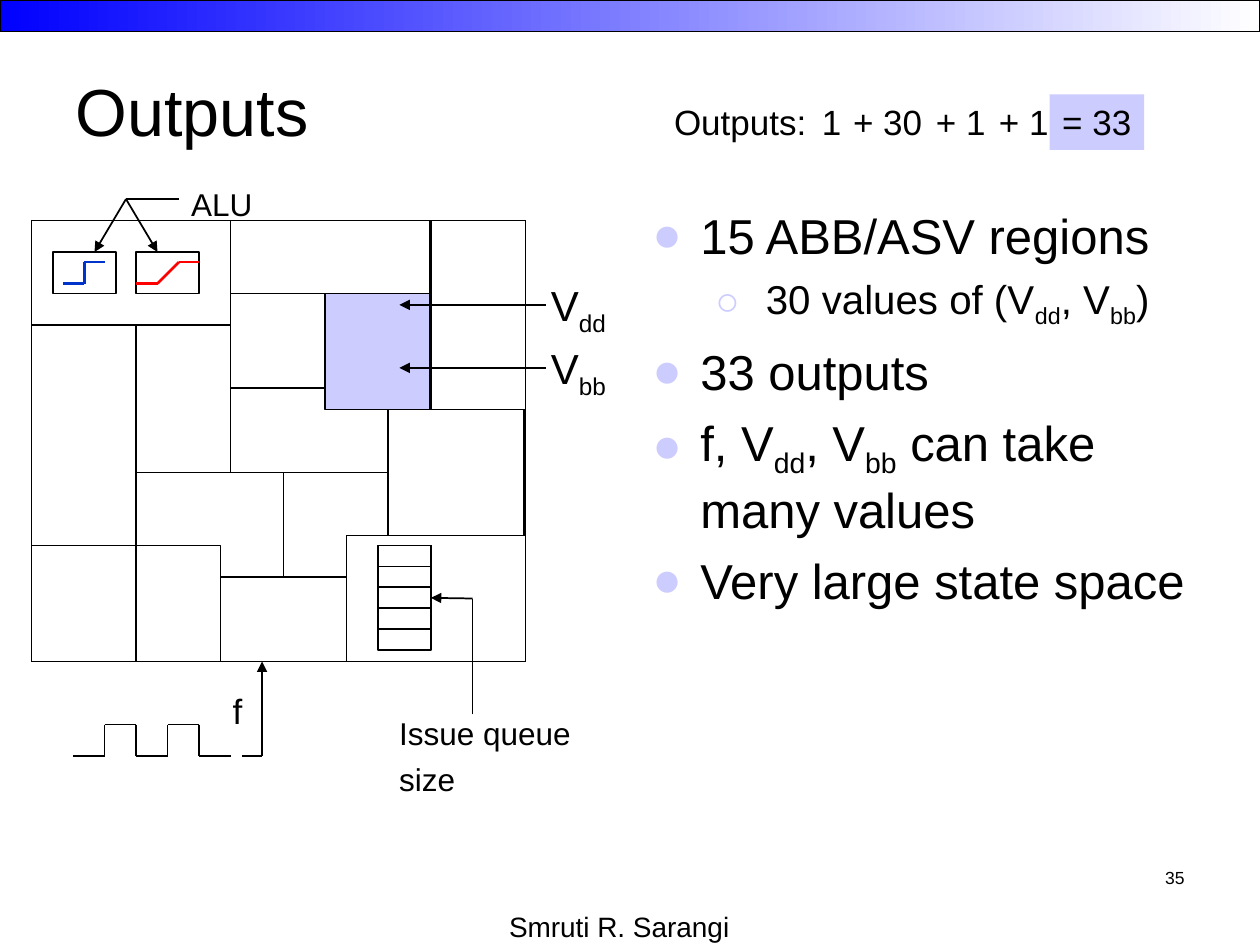
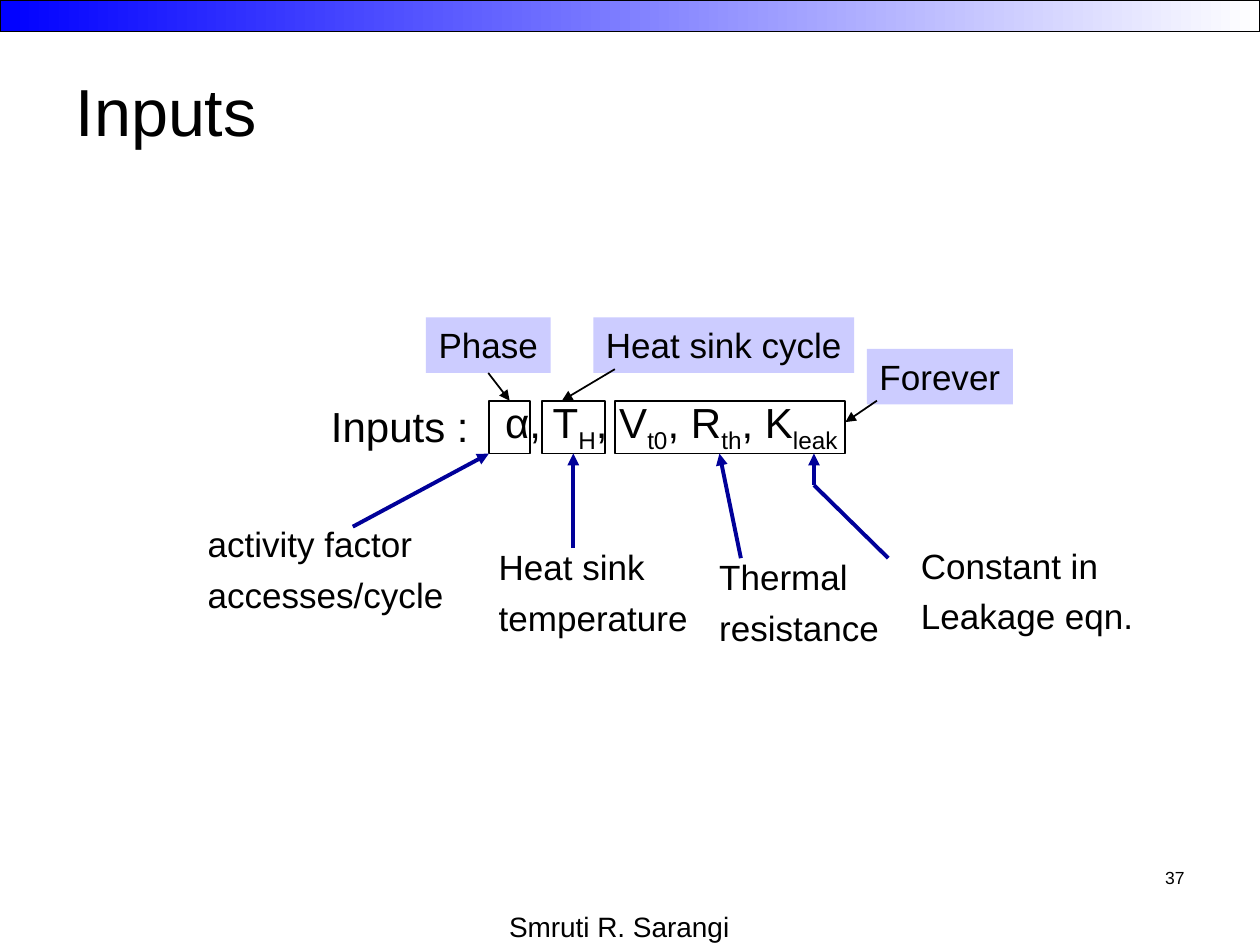
from lxml import etree
from pptx import Presentation
from pptx.dml.color import RGBColor
from pptx.enum.shapes import MSO_CONNECTOR, MSO_SHAPE
from pptx.enum.text import MSO_ANCHOR, MSO_AUTO_SIZE, PP_ALIGN
from pptx.oxml.ns import qn
from pptx.util import Inches, Pt

RECT = MSO_SHAPE.RECTANGLE
STRAIGHT = MSO_CONNECTOR.STRAIGHT
LEFT, MID, RIGHT = PP_ALIGN.LEFT, PP_ALIGN.CENTER, PP_ALIGN.RIGHT
TOP, CENTER = MSO_ANCHOR.TOP, MSO_ANCHOR.MIDDLE
FIXED = MSO_AUTO_SIZE.NONE
ABOVE, BESIDE, BELOW, BEYOND = range(4)

BLACK, WHITE, BLUE = "000000", "FFFFFF", "0000FF"
LILAC, NAVY, STEP, RAMP = "CCCCFF", "000099", "0033CC", "FF0000"
FONT = "Arial"


def rgb(code):
    return RGBColor.from_string(code)


def inches(*sizes):
    return [Inches(size) for size in sizes]


class Deck:
    def __init__(self):
        self.prs = Presentation()
        self.prs.slide_width, self.prs.slide_height = inches(10, 7.5)
        self.slide = None

    def page(self, title, number):
        self.slide = self.prs.slides.add_slide(self.prs.slide_layouts[5])
        band = self.rect(0, 0, 10, 0.25)
        band.fill.gradient()
        band.fill.gradient_angle = 0
        for stop, code, place in zip(band.fill.gradient_stops, (BLUE, WHITE), (0, 1)):
            stop.color.rgb = rgb(code)
            stop.position = place
        self.text((3.33, 7.17, 3.17, 0.33), ["Smruti R. Sarangi"], 16, MID, wrap=True)
        self.text((7.17, 6.83, 2.33, 0.5), [number], 10, RIGHT, wrap=True)
        head = self.slide.shapes.title
        head.left, head.top, head.width, head.height = inches(0.5, 0.25, 9, 1.25)
        frame = head.text_frame
        frame.auto_size = FIXED
        frame.vertical_anchor = CENTER
        frame.paragraphs[0].alignment = LEFT
        self.runs(frame.paragraphs[0], title, 38)

    def runs(self, para, parts, size):
        parts = [parts] if isinstance(parts, str) else parts
        for index, part in enumerate(parts):
            run = para.add_run()
            run.text = part
            run.font.size = Pt(size)
            run.font.name = FONT
            run.font.color.rgb = rgb(BLACK)
            if index % 2:
                run._r.get_or_add_rPr().set("baseline", "-25000")

    def frame(self, box, wrap):
        shape = self.slide.shapes.add_textbox(*inches(*box))
        frame = shape.text_frame
        frame.word_wrap = wrap
        frame.auto_size = FIXED
        frame.vertical_anchor = TOP
        return shape, frame

    def para(self, frame, index, size):
        if index == 0:
            return frame.paragraphs[0]
        para = frame.add_paragraph()
        para.space_before = Pt(size / 4)
        return para

    def text(self, box, lines, size=20, align=MID, fill=None, wrap=False):
        shape, frame = self.frame(box, wrap)
        if fill:
            shape.fill.solid()
            shape.fill.fore_color.rgb = rgb(fill)
        for index, line in enumerate(lines):
            para = self.para(frame, index, size)
            para.alignment = align
            self.runs(para, line, size)
        return shape

    def list(self, box, items):
        styles = ((28, "●", 0.38, 0.38), (23, "○", 0.9, 0.4))
        frame = self.frame(box, True)[1]
        for index, (level, parts) in enumerate(items):
            size, mark, margin, hang = styles[level]
            para = self.para(frame, index, size)
            para.level = level
            props = para._p.get_or_add_pPr()
            props.set("marL", str(Inches(margin)))
            props.set("indent", str(-Inches(hang)))
            tint = etree.SubElement(props, qn("a:buClr"))
            etree.SubElement(tint, qn("a:srgbClr")).set("val", LILAC)
            etree.SubElement(props, qn("a:buFont")).set("typeface", FONT)
            etree.SubElement(props, qn("a:buChar")).set("char", mark)
            self.runs(para, parts, size)

    def rect(self, x, y, w, h, fill=None):
        shape = self.slide.shapes.add_shape(RECT, *inches(x, y, w, h))
        shape.shadow.inherit = False
        if fill:
            shape.fill.solid()
            shape.fill.fore_color.rgb = rgb(fill)
        else:
            shape.fill.background()
        shape.line.color.rgb = rgb(BLACK)
        shape.line.width = Pt(1)
        return shape

    def trace(self, points, color=BLACK, width=1, head=False, start=None, end=None):
        for a, b in zip(points, points[1:]):
            line = self.slide.shapes.add_connector(STRAIGHT, *inches(*a, *b))
            line.line.color.rgb = rgb(color)
            line.line.width = Pt(width)
            props = line._element.spPr
            etree.SubElement(props, qn("a:effectLst"))
            if start and a == points[0]:
                line.begin_connect(*start)
            if b == points[-1]:
                if head:
                    tip = etree.SubElement(props.find(qn("a:ln")), qn("a:tailEnd"))
                    tip.set("type", "triangle")
                if end:
                    line.end_connect(*end)


def outputs(deck):
    deck.page("Outputs", "35")
    deck.list((5.08, 1.58, 4.42, 4.95), [
        (0, "15 ABB/ASV regions"),
        (1, ["30 values of (V", "dd", ", V", "bb", ")"]),
        (0, "33 outputs"),
        (0, ["f, V", "dd", ", V", "bb", " can take many values"]),
        (0, "Very large state space"),
    ])

    for block in (
        (0.25, 1.75, 3.92, 3.5), (0.25, 1.75, 1.58, 0.83),
        (0.25, 2.58, 0.83, 1.75), (0.25, 4.33, 1.5, 0.92),
        (1.83, 1.75, 1.58, 0.58), (3.42, 1.75, 0.75, 1.5),
        (2.75, 4.25, 1.42, 1), (0.25, 4.33, 0.83, 0.92),
    ):
        deck.rect(*block)
    side = deck.rect(3.08, 3.25, 1.08, 1)
    base = deck.rect(1.75, 4.58, 1, 0.67)
    deck.trace([(3.08, 3.75), (1.08, 3.75)], start=(side, BESIDE))
    deck.trace([(2.25, 3.75), (2.25, 4.58)], end=(base, ABOVE))
    deck.trace([(1.83, 2.58), (1.83, 3.75)])
    deck.trace([(1.83, 3.08), (2.58, 3.08)])

    deck.rect(2.58, 2.33, 0.83, 0.92, LILAC)
    for y, sub in ((2.42, "dd"), (2.92, "bb")):
        deck.trace([(4.33, y), (3.17, y)], head=True)
        deck.text((4.27, y - 0.25, 0.64, 0.56), [["V", sub]], 24)

    deck.trace([(1.92, 6), (2.08, 6), (2.08, 5.25)], head=True)
    deck.text((1.75, 5.42, 0.27, 0.44), ["f"])
    pulse = [(0.58, 6)]
    for x in (0.83, 1.33):
        pulse += [(x, 6), (x, 5.75), (x + 0.25, 5.75), (x + 0.25, 6)]
    deck.trace(pulse + [(1.83, 6)])

    for x in (0.42, 1.08):
        deck.rect(x, 2, 0.5, 0.33)
    deck.trace([(0.5, 2.25), (0.67, 2.25), (0.67, 2.08), (0.83, 2.08)], STEP, 1.5)
    deck.trace([(1.08, 2.25), (1.25, 2.25), (1.42, 2.08), (1.58, 2.08)], RAMP, 1.5)
    deck.trace([(1.42, 1.58), (1, 1.58), (0.75, 2)], head=True)
    deck.trace([(1, 1.58), (1.25, 2)], head=True)
    deck.text((1.42, 1.42, 0.68, 0.4), ["ALU"], 18)

    queue = deck.rect(3, 4.33, 0.42, 0.83)
    for row in range(4):
        deck.rect(3, 4.33 + row * 0.83 / 5, 0.42, 0.83 / 5)
    deck.trace([(3.75, 5.67), (3.75, 4.75), (3.42, 4.75)], head=True, end=(queue, BEYOND))
    deck.text((3.07, 5.62, 1.56, 0.77), ["Issue queue", "size"], 18, LEFT)

    for x, width, term in (
        (5.25, 1.25, "Outputs:"), (6.42, 0.36, "1"), (6.67, 0.75, "+ 30"),
        (7.33, 0.59, "+ 1"), (7.83, 0.59, "+ 1"),
    ):
        deck.text((x, 0.75, width, 0.44), [term])
    deck.text((8.33, 0.75, 0.75, 0.44), ["= 33"], fill=LILAC)


def inputs(deck):
    deck.page("Inputs", "37")
    deck.text((2.53, 3.13, 1.38, 0.5), ["Inputs : "], 24)
    terms = ["α, T", "H", ", V", "t0", ", R", "th", ", K", "leak "]
    deck.text((3.88, 3.1, 2.95, 0.56), [terms], 24)
    alpha, sink, _ = [
        deck.rect(x, 3.18, width, 0.42)
        for x, width in ((3.88, 0.33), (4.3, 0.5), (4.88, 1.83))
    ]

    for x, y, width, lines in (
        (1.55, 4.1, 2.07, ["activity factor", "accesses/cycle"]),
        (3.86, 4.28, 1.7, ["Heat sink", "temperature"]),
        (5.61, 4.36, 1.47, ["Thermal", "resistance"]),
        (7.21, 4.27, 1.88, ["Constant in", "Leakage eqn."]),
    ):
        deck.text((x, y, width, 0.84), lines, align=LEFT)
    for points, end in (
        ([(2.8, 4.18), (3.88, 3.6)], None),
        ([(4.55, 4.35), (4.55, 3.6)], (sink, BELOW)),
        ([(5.88, 4.43), (5.71, 3.6)], None),
        ([(7.05, 4.43), (6.46, 3.85), (6.46, 3.6)], None),
    ):
        deck.trace(points, NAVY, 2.25, True, end=end)

    phase, _, _ = [
        deck.text((x, y, width, 0.44), [label], fill=LILAC)
        for x, y, width, label in (
            (3.38, 2.52, 0.99, "Phase"),
            (4.71, 2.52, 2.07, "Heat sink cycle"),
            (6.88, 2.77, 1.16, "Forever"),
        )
    ]
    deck.trace([(3.88, 2.96), (4.05, 3.18)], head=True,
               start=(phase, BELOW), end=(alpha, ABOVE))
    deck.trace([(4.88, 2.93), (4.46, 3.18)], head=True)
    deck.trace([(6.96, 3.18), (6.71, 3.35)], head=True)


def main():
    deck = Deck()
    outputs(deck)
    inputs(deck)
    deck.prs.save("out.pptx")


if __name__ == "__main__":
    main()
